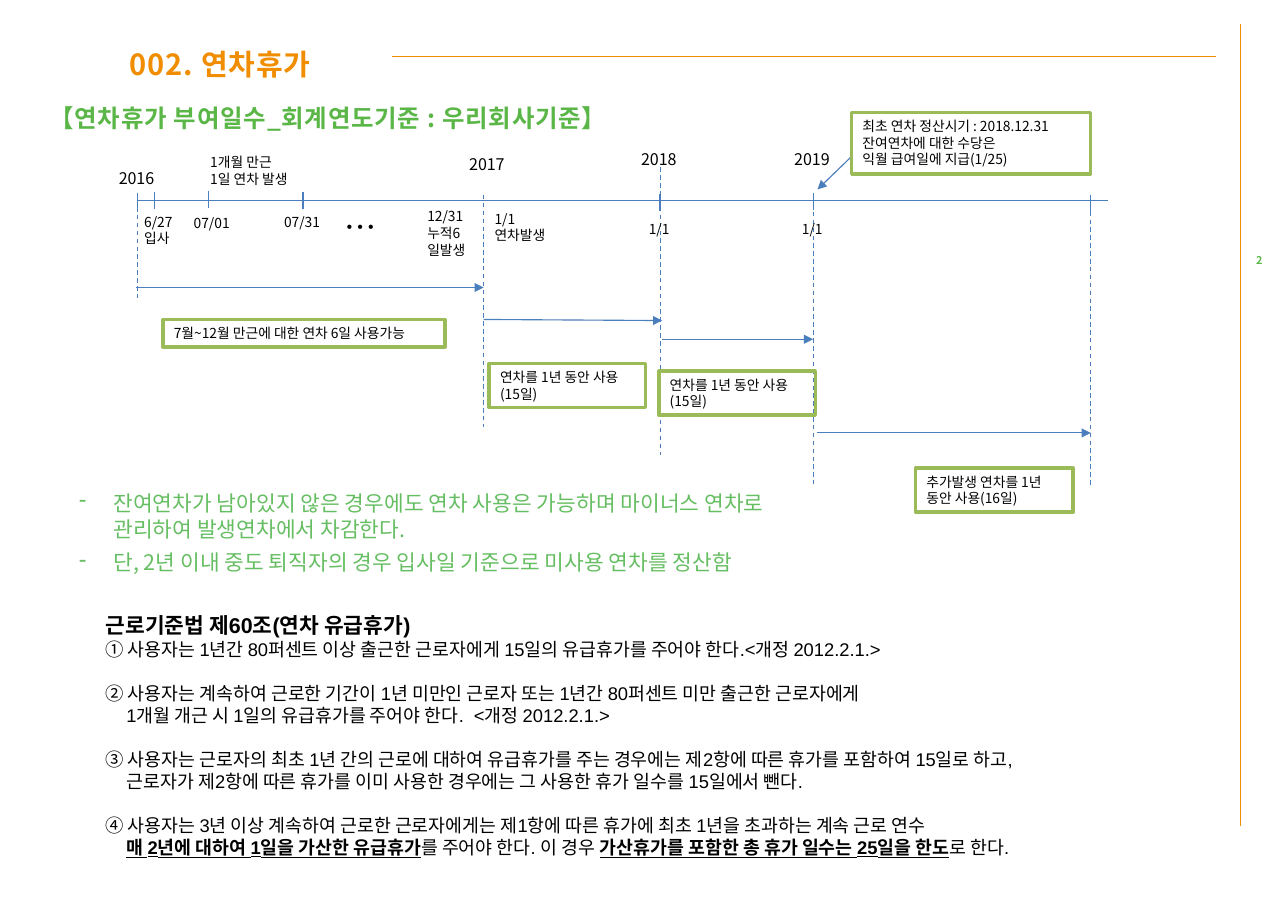
"""Annual leave slide: a fiscal-year timeline with usage rules and the legal basis."""
from lxml.etree import SubElement
from pptx import Presentation
from pptx.dml.color import RGBColor
from pptx.enum.dml import MSO_LINE
from pptx.enum.shapes import MSO_CONNECTOR, MSO_SHAPE
from pptx.enum.text import MSO_ANCHOR, MSO_AUTO_SIZE as FIT, PP_ALIGN
from pptx.oxml.ns import qn
from pptx.util import Inches, Pt

KOREAN = "Noto Sans CJK KR"
ORANGE, GREEN, LIGHT_GREEN, OLIVE, BLUE, BLACK = (
    "F18D00", "5AB647", "66BE62", "9BBB59", "4B7EBC", "000000")
COLS, ROWS = 1169, 827
rgb = RGBColor.from_string

prs = Presentation()
prs.slide_width, prs.slide_height = Inches(COLS / 100), Inches(ROWS / 100)
COL, ROW = prs.slide_width / COLS, prs.slide_height / ROWS
s = prs.slides.add_slide(prs.slide_layouts[6])


def line(x1, y1, x2, y2, color=BLUE, width=0.75, dash=False, arrow=False):
    sp = s.shapes.add_connector(MSO_CONNECTOR.STRAIGHT, int(x1 * COL), int(y1 * ROW),
                                int(x2 * COL), int(y2 * ROW))
    sp.line.color.rgb, sp.line.width = rgb(color), Pt(width)
    if dash:
        sp.line.dash_style = MSO_LINE.DASH
    if arrow:
        SubElement(sp.line._get_or_add_ln(), qn("a:tailEnd"), type="triangle")
    SubElement(sp._element.spPr, qn("a:effectLst"))


def text(x, y, w, h, paras, size=9, color=BLACK, font=KOREAN, bold=False,
         boxed=False, heading=False, wrap=True):
    area = int(x * COL), int(y * ROW), int(w * COL), int(h * ROW)
    if boxed:
        sp = s.shapes.add_shape(MSO_SHAPE.RECTANGLE, *area)
        sp.shadow.inherit = False
        sp.fill.background()
        sp.line.color.rgb, sp.line.width = rgb(OLIVE), Pt(2.25)
    else:
        sp = s.shapes.add_textbox(*area)
    tf = sp.text_frame
    layout = {"word_wrap": wrap, "vertical_anchor": MSO_ANCHOR.TOP,
              "auto_size": FIT.NONE if heading else FIT.SHAPE_TO_FIT_TEXT}
    if heading:
        layout |= dict.fromkeys(
            ("margin_left", "margin_right", "margin_top", "margin_bottom"), 0)
    for key, value in layout.items():
        setattr(tf, key, value)
    for i, para in enumerate(paras):
        p = tf.add_paragraph() if i else tf.paragraphs[0]
        p.alignment = PP_ALIGN.LEFT
        if heading:
            p.space_before = Pt(size * 0.2)
        for j, part in enumerate(para.split("|")):
            if not part:
                continue
            r = p.add_run()
            r.text = part
            strong = j % 2 == 1
            for key, value in {"name": font, "size": Pt(size), "bold": bold or strong,
                               "underline": strong}.items():
                setattr(r.font, key, value)
            r.font.color.rgb = rgb(color)
            SubElement(r.font._element, qn("a:ea"), typeface=KOREAN)
            if heading:
                r.font._element.set("spc", "50")
    return tf


line(1126, 22, 1126, 750, ORANGE, 0.3)
line(356, 51, 1104, 51, ORANGE, 0.3)
page = text(1126, 230, 34, 36, ["2"], 7, GREEN, bold=True, heading=True)
page.paragraphs[0].alignment = PP_ALIGN.CENTER
text(118, 42, 240, 72, ["002. 연차휴가"], 19, ORANGE, bold=True, heading=True)
subtitle = text(45, 80, 553, 45, ["【연차휴가 부여일수_회계연도기준 : 우리회사기준】"],
                16, GREEN, bold=True, heading=True)
subtitle.paragraphs[0].line_spacing = 1.5

line(124, 182, 1006, 182)
for x, y in [(125, 175), (140, 174), (189, 173), (275, 174),
             (599, 176), (738, 175), (990, 177)]:
    line(x, y, x, y + 16)
for x, top, bottom in [(125, 188, 273), (439, 177, 388), (599.5, 152, 413),
                       (738, 178, 439), (989.5, 185, 440)]:
    line(x, top, x, bottom, dash=True)
for ends in [(123, 261, 439, 261), (439, 290, 601, 291), (601, 308, 738, 308),
             (742, 393, 990, 393), (773, 142, 742, 172)]:
    line(*ends, arrow=True)

for year, x, y in [("2016", 98, 148), ("2017", 416, 135), ("2018", 572, 131), ("2019", 711, 131)]:
    text(x, y, 55, 28, [year], 10.5)
for x, y, w, h, paras in [
    (121, 189, 51, 40, ["6/27", "입사"]),
    (166, 190, 56, 25, ["07/01"]),
    (248, 189, 56, 25, ["07/31"]),
    (181, 135, 105, 40, ["1개월 만근", "1일 연차 발생"]),
    (378, 184, 75, 56, ["12/31", "누적6일발생"]),
    (439, 186, 77, 40, ["1/1", "연차발생"]),
    (579, 195, 45, 25, ["1/1"]),
    (718, 195, 45, 25, ["1/1"]),
]:
    text(x, y, w, h, paras)
text(303, 183, 42, 45, ["…"], 21, wrap=False)

one_year = ["연차를 1년 동안 사용", "(15일)"]
for x, y, w, h, paras in [
    (148, 290, 256, 25, ["7월~12월 만근에 대한 연차 6일 사용가능"]),
    (444, 330, 142, 40, one_year),
    (598, 337, 142, 40, one_year),
    (831, 425, 143, 40, ["추가발생 연차를 1년", "동안 사용(16일)"]),
    (773, 102, 217, 56, ["최초 연차 정산시기 : 2018.12.31", "잔여연차에 대한 수당은",
                         "익월 급여일에 지급(1/25)"]),
]:
    text(x, y, w, h, paras, boxed=True)

for y, h, rule in [
    (440, 57, "잔여연차가 남아있지 않은 경우에도 연차 사용은 가능하며 마이너스 연차로 관리하여 발생연차에서 차감한다."),
    (494, 34, "단, 2년 이내 중도 퇴직자의 경우 입사일 기준으로 미사용 연차를 정산함"),
]:
    tf = text(62, y, 711, h, [rule], 14, LIGHT_GREEN)
    pPr = tf.paragraphs[0]._p.get_or_add_pPr()
    for key, columns in {"marL": 31, "indent": -31}.items():
        pPr.set(key, str(int(columns * COL)))
    SubElement(pPr, qn("a:buChar"), char="-")

law = text(86, 551, 1024, 236, [
    "근로기준법 제60조(연차 유급휴가)",
    "① 사용자는 1년간 80퍼센트 이상 출근한 근로자에게 15일의 유급휴가를 주어야 한다.<개정 2012.2.1.>",
    "② 사용자는 계속하여 근로한 기간이 1년 미만인 근로자 또는 1년간 80퍼센트 미만 출근한 근로자에게",
    "1개월 개근 시 1일의 유급휴가를 주어야 한다.  <개정 2012.2.1.>",
    "③ 사용자는 근로자의 최초 1년 간의 근로에 대하여 유급휴가를 주는 경우에는 제2항에 따른 휴가를 포함하여 15일로 하고,",
    "근로자가 제2항에 따른 휴가를 이미 사용한 경우에는 그 사용한 휴가 일수를 15일에서 뺀다.",
    "④ 사용자는 3년 이상 계속하여 근로한 근로자에게는 제1항에 따른 휴가에 최초 1년을 초과하는 계속 근로 연수",
    "|매 2년에 대하여 1일을 가산한 유급휴가|를 주어야 한다. 이 경우 "
    "|가산휴가를 포함한 총 휴가 일수는 25일을 한도|로 한다.",
], 12, font="Arial")
title, *clauses = law.paragraphs
for key, value in {"size": Pt(14), "bold": True}.items():
    setattr(title.runs[0].font, key, value)
for p in clauses:
    if p.text[0] in "②③④":
        p.space_before = Pt(14.4)
    elif p.text[0] != "①":
        p._p.get_or_add_pPr().set("marL", str(int(19 * COL)))

prs.save("out.pptx")
